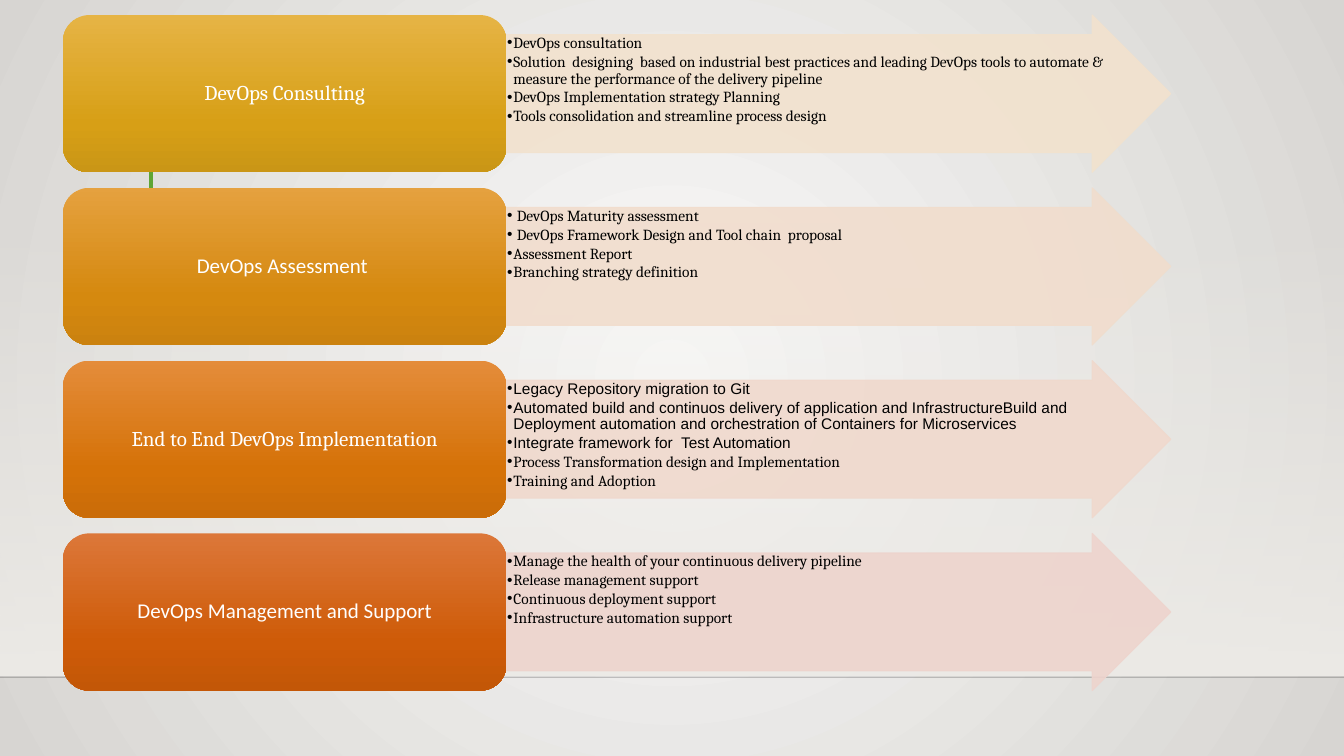
from dataclasses import dataclass

from lxml.etree import SubElement
from pptx import Presentation
from pptx.dml.color import RGBColor
from pptx.enum.shapes import MSO_CONNECTOR, MSO_SHAPE
from pptx.enum.text import MSO_ANCHOR, PP_ALIGN
from pptx.oxml.ns import qn
from pptx.util import Pt

COLORS = {
    "center": "FAFAF9", "edge": "D7D5D2", "wall": "EDEBE7",
    "horizon": "000001", "link": "5FA534", "text": "000000", "label": "FFFFFF",
}

# Layout in points
SLIDE_WIDTH, SLIDE_HEIGHT = 960, 540
TOP, PITCH, HEIGHT = 10.8, 123.4, 112.3
LABEL_LEFT, LABEL_WIDTH = 45, 316.8
ARROW_LEFT, ARROW_WIDTH = LABEL_LEFT + LABEL_WIDTH, 474.5
DETAIL_WIDTH = 432.7
SHAFT = 0.75
HORIZON = 483.8
WALL_TOP = 158.4


@dataclass
class Detail:
    text: str
    font: str = "Cambria"


@dataclass
class Service:
    label: str
    font: str
    gradient: tuple[str, str, str]
    arrow: str
    details: list[Detail]


SERVICES = [
    Service("DevOps Consulting", "Cambria", ("E6B445", "D79F16", "CA9616"), "F2E2CE", [
        Detail("DevOps consultation"),
        Detail("Solution  designing  based on industrial best practices and leading DevOps "
               "tools to automate & measure the performance of the delivery pipeline"),
        Detail("DevOps Implementation strategy Planning"),
        Detail("Tools consolidation and streamline process design"),
    ]),
    Service("DevOps Assessment ", "Calibri", ("E5A13F", "D5890F", "CB820F"), "F1DDCD", [
        Detail(" DevOps Maturity assessment"),
        Detail(" DevOps Framework Design and Tool chain  proposal"),
        Detail("Assessment Report"),
        Detail("Branching strategy definition"),
    ]),
    Service("End to End DevOps Implementation", "Cambria",
            ("E48C3A", "D57208", "CA6C08"), "F0D9CD", [
        Detail("Legacy Repository migration to Git", "Arial"),
        Detail("Automated build and continuos delivery of application and InfrastructureBuild "
               "and Deployment automation and orchestration of Containers for Microservices",
               "Arial"),
        Detail("Integrate framework for  Test Automation", "Arial"),
        Detail("Process Transformation design and Implementation"),
        Detail("Training and Adoption"),
    ]),
    Service("DevOps Management and Support", "Calibri",
            ("DC7739", "CE5B08", "C35707"), "EED4CD", [
        Detail("Manage the health of your continuous delivery pipeline"),
        Detail("Release management support"),
        Detail("Continuous deployment support"),
        Detail("Infrastructure automation support"),
    ]),
]


def set_alpha(parent, percent: int) -> None:
    """Set the opacity of every colour below an element."""
    for color in parent.iter(qn("a:srgbClr")):
        SubElement(color, qn("a:alpha"), val=str(percent * 1000))


def set_gradient(properties, stops: list[tuple[int, str, int]], radial: bool = False) -> None:
    """Swap a solid fill for a gradient of (position, colour, opacity) stops."""
    solid = properties.find(qn("a:solidFill"))
    gradient = solid.makeelement(qn("a:gradFill"), {"rotWithShape": "1"})
    stop_list = SubElement(gradient, qn("a:gsLst"))
    for position, color, opacity in stops:
        stop = SubElement(stop_list, qn("a:gs"), pos=str(position * 1000))
        SubElement(stop, qn("a:srgbClr"), val=color)
        if opacity < 100:
            set_alpha(stop, opacity)
    if radial:
        path = SubElement(gradient, qn("a:path"), {"path": "circle"})
        SubElement(path, qn("a:fillToRect"), l="50000", t="50000", r="50000", b="50000")
    else:
        SubElement(gradient, qn("a:lin"), ang="5400000", scaled="0")
    properties.replace(solid, gradient)


def add_block(slide, kind: MSO_SHAPE, left: float, top: float, width: float, height: float):
    block = slide.shapes.add_shape(kind, Pt(left), Pt(top), Pt(width), Pt(height))
    block.shadow.inherit = False
    block.fill.solid()
    block.line.fill.background()
    return block


def add_line(slide, x1: float, y1: float, x2: float, y2: float,
             color: str, width: float, opacity: int = 100) -> None:
    line = slide.shapes.add_connector(MSO_CONNECTOR.STRAIGHT, Pt(x1), Pt(y1), Pt(x2), Pt(y2))
    line.line.color.rgb = RGBColor.from_string(color)
    line.line.width = Pt(width)
    properties = line.element.spPr
    SubElement(properties, qn("a:effectLst"))
    if opacity < 100:
        set_alpha(properties, opacity)


def format_paragraph(paragraph, text: str, font: str, size: float, color: str) -> None:
    paragraph.text = text
    paragraph.line_spacing = 0.9
    paragraph.font.name = font
    paragraph.font.size = Pt(size)
    paragraph.font.color.rgb = RGBColor.from_string(color)


def add_arrow(slide, service: Service, top: float) -> None:
    arrow = add_block(slide, MSO_SHAPE.RIGHT_ARROW, ARROW_LEFT, top, ARROW_WIDTH, HEIGHT)
    arrow.adjustments[0] = SHAFT
    arrow.adjustments[1] = 0.5
    color = RGBColor.from_string(service.arrow)
    arrow.fill.fore_color.rgb = color
    arrow.line.color.rgb = color
    arrow.line.width = Pt(0.75)
    set_alpha(arrow.element.spPr, 90)


def add_details(slide, details: list[Detail], top: float) -> None:
    shaft_top = top + HEIGHT * (1 - SHAFT) / 2
    box = slide.shapes.add_textbox(Pt(ARROW_LEFT), Pt(shaft_top),
                                   Pt(DETAIL_WIDTH), Pt(HEIGHT * SHAFT))
    frame = box.text_frame
    frame.word_wrap = True
    frame.margin_left = frame.margin_right = frame.margin_top = frame.margin_bottom = Pt(0.4)
    for index, detail in enumerate(details):
        paragraph = frame.add_paragraph() if index else frame.paragraphs[0]
        format_paragraph(paragraph, detail.text, detail.font, 11, COLORS["text"])
        paragraph.space_after = Pt(1.6)
        # Bullet with a hanging indent
        properties = paragraph._p.get_or_add_pPr()
        properties.set("marL", str(Pt(4.5)))
        properties.set("indent", str(-Pt(4.5)))
        run_defaults = properties.find(qn("a:defRPr"))
        for tag, attributes in (("a:buFont", {"typeface": "Arial"}),
                                ("a:buChar", {"char": "•"})):
            run_defaults.addprevious(properties.makeelement(qn(tag), attributes))


def add_label(slide, service: Service, top: float) -> None:
    label = add_block(slide, MSO_SHAPE.ROUNDED_RECTANGLE, LABEL_LEFT, top, LABEL_WIDTH, HEIGHT)
    light, middle, dark = service.gradient
    set_gradient(label.element.spPr, [(0, light, 100), (69, middle, 100), (100, dark, 100)])
    frame = label.text_frame
    frame.word_wrap = True
    frame.vertical_anchor = MSO_ANCHOR.MIDDLE
    paragraph = frame.paragraphs[0]
    format_paragraph(paragraph, service.label, service.font, 15, COLORS["label"])
    paragraph.alignment = PP_ALIGN.CENTER


def main() -> None:
    deck = Presentation()
    deck.slide_width, deck.slide_height = Pt(SLIDE_WIDTH), Pt(SLIDE_HEIGHT)
    slide = deck.slides.add_slide(deck.slide_layouts[6])

    # Backdrop: radial light, wall and horizon
    slide.background.fill.solid()
    set_gradient(slide.element.find(".//" + qn("p:bgPr")),
                 [(0, COLORS["center"], 100), (100, COLORS["edge"], 100)], radial=True)
    wall = add_block(slide, MSO_SHAPE.RECTANGLE, 0, WALL_TOP, SLIDE_WIDTH, 324)
    set_gradient(wall.element.spPr, [(0, COLORS["wall"], 0), (100, COLORS["wall"], 100)])
    add_line(slide, 0, HORIZON, SLIDE_WIDTH, HORIZON, COLORS["horizon"], 1, opacity=20)

    # Link between the first two services
    add_line(slide, 108, 62.6, 108, 146.9, COLORS["link"], 3)

    # One row per service
    for row, service in enumerate(SERVICES):
        top = TOP + row * PITCH
        add_arrow(slide, service, top)
        add_details(slide, service.details, top)
        add_label(slide, service, top)

    deck.save("out.pptx")


if __name__ == "__main__":
    main()
